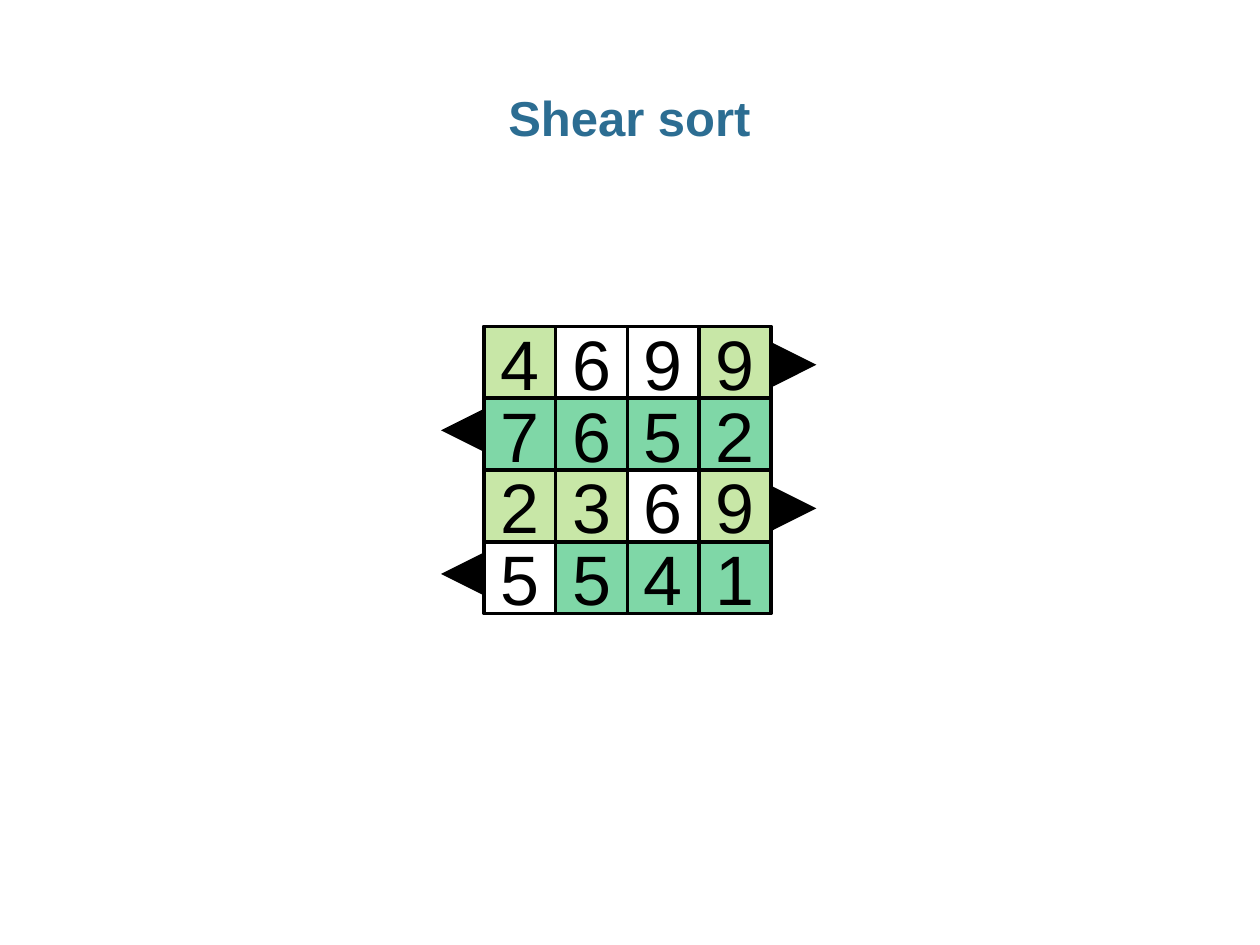
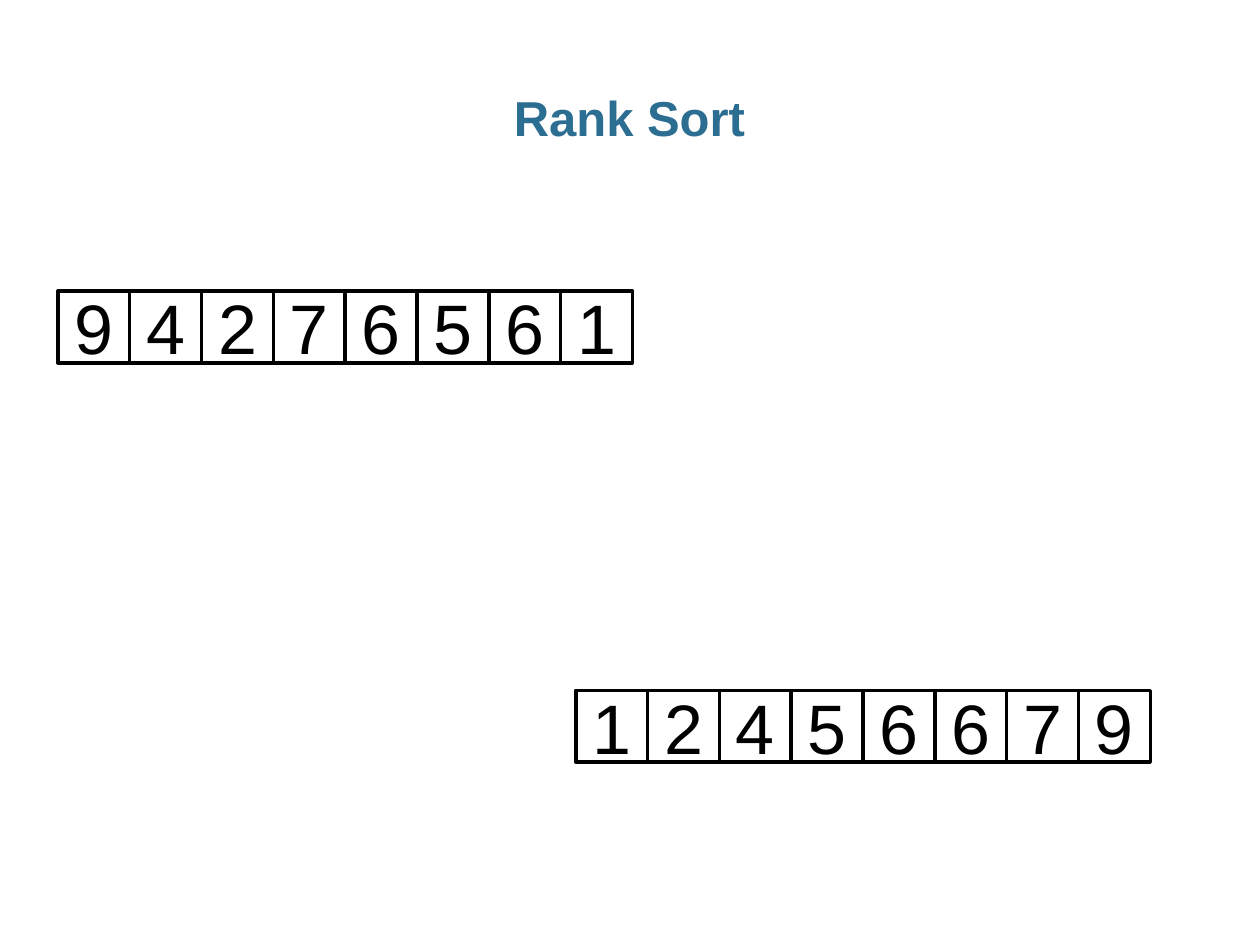
"""Build two slides that show number grids for shear sort and rank sort."""
from lxml import etree
from pptx import Presentation
from pptx.dml.color import RGBColor
from pptx.enum.shapes import MSO_CONNECTOR, MSO_SHAPE
from pptx.enum.text import MSO_ANCHOR, PP_ALIGN
from pptx.oxml.ns import qn
from pptx.util import Inches, Pt

RECTANGLE = MSO_SHAPE.RECTANGLE
STRAIGHT = MSO_CONNECTOR.STRAIGHT
MIDDLE = MSO_ANCHOR.MIDDLE
CENTER = PP_ALIGN.CENTER

COLORS = {"title": "2C6D92", "ink": "000000", "light": "92D050", "green": "00B050"}
FONT = "Arial"
CELL = 0.57
SHADES = {"L": "light", "G": "green"}

SHEAR_LEFT, SHEAR_TOP = 3.84, 2.59
SHEAR_ROWS = ["4699", "7652", "2369", "5541"]
SHEAR_SHADES = ["L..L", "GGGG", "LL.L", ".GGG"]


def color(name):
    """Return the named colour."""
    return RGBColor.from_string(COLORS[name])


def write(shape, text, size, color_name, bold=False):
    """Put one centred line of text in a shape."""
    paragraph = shape.text_frame.paragraphs[0]
    paragraph.text = text
    paragraph.alignment = CENTER
    font = paragraph.runs[0].font
    font.name, font.size, font.bold = FONT, Pt(size), bold
    font.color.rgb = color(color_name)
    return paragraph


def add_titled_slide(presentation, title):
    """Add a blank slide with a title line."""
    slide = presentation.slides.add_slide(presentation.slide_layouts[6])
    box = slide.shapes.add_textbox(Inches(0.34), Inches(0.68), Inches(9.31), Inches(0.5))
    frame = box.text_frame
    frame.word_wrap = True
    frame.margin_left = frame.margin_right = 0
    write(box, title, 28, "title", bold=True).line_spacing = 0.95
    return slide


def add_cell(slide, left, top, digit, shade):
    """Add one square with a digit and, if shaded, a half-transparent fill."""
    cell = slide.shapes.add_shape(RECTANGLE, Inches(left), Inches(top), Inches(CELL), Inches(CELL))
    cell.shadow.inherit = False
    cell.line.color.rgb = color("ink")
    cell.line.width = Pt(2)
    if shade in SHADES:
        cell.fill.solid()
        cell.fill.fore_color.rgb = color(SHADES[shade])
        fill_color = cell._element.spPr.find(qn("a:solidFill"))[0]
        etree.SubElement(fill_color, qn("a:alpha"), val="50000")
    else:
        cell.fill.background()
    cell.text_frame.vertical_anchor = MIDDLE
    write(cell, digit, 40, "ink")


def add_row(slide, left, top, digits, shades=""):
    """Add a row of touching cells."""
    for column, (digit, shade) in enumerate(zip(digits, shades.ljust(len(digits), "."))):
        add_cell(slide, left + column * CELL, top, digit, shade)


def add_arrow(slide, start, end, y):
    """Add a heavy horizontal arrow."""
    arrow = slide.shapes.add_connector(STRAIGHT, Inches(start), Inches(y), Inches(end), Inches(y))
    arrow.line.color.rgb = color("ink")
    arrow.line.width = Pt(8.25)
    etree.SubElement(arrow.line._get_or_add_ln(), qn("a:tailEnd"), type="triangle")
    etree.SubElement(arrow._element.spPr, qn("a:effectLst"))


def add_shear_sort(presentation):
    """Add the grid whose rows are sorted in alternating directions."""
    slide = add_titled_slide(presentation, "Shear sort")
    right = SHEAR_LEFT + len(SHEAR_ROWS[0]) * CELL
    for row, (digits, shades) in enumerate(zip(SHEAR_ROWS, SHEAR_SHADES)):
        top = SHEAR_TOP + row * CELL
        add_row(slide, SHEAR_LEFT, top, digits, shades)
        middle = top + CELL / 2
        if row % 2:
            add_arrow(slide, SHEAR_LEFT - 0.05, SHEAR_LEFT - 0.34, middle - 0.03)
        else:
            add_arrow(slide, right + 0.11, right + 0.36, middle + 0.02)


def add_rank_sort(presentation):
    """Add the unsorted row and the sorted row."""
    slide = add_titled_slide(presentation, "Rank Sort")
    unsorted_digits = "94276561"
    add_row(slide, 0.46, 2.31, unsorted_digits)
    add_row(slide, 4.57, 5.48, sorted(unsorted_digits))


def main():
    """Build and save the presentation."""
    presentation = Presentation()
    presentation.slide_width, presentation.slide_height = Inches(10), Inches(7.5)
    add_shear_sort(presentation)
    add_rank_sort(presentation)
    presentation.save("out.pptx")


if __name__ == "__main__":
    main()
